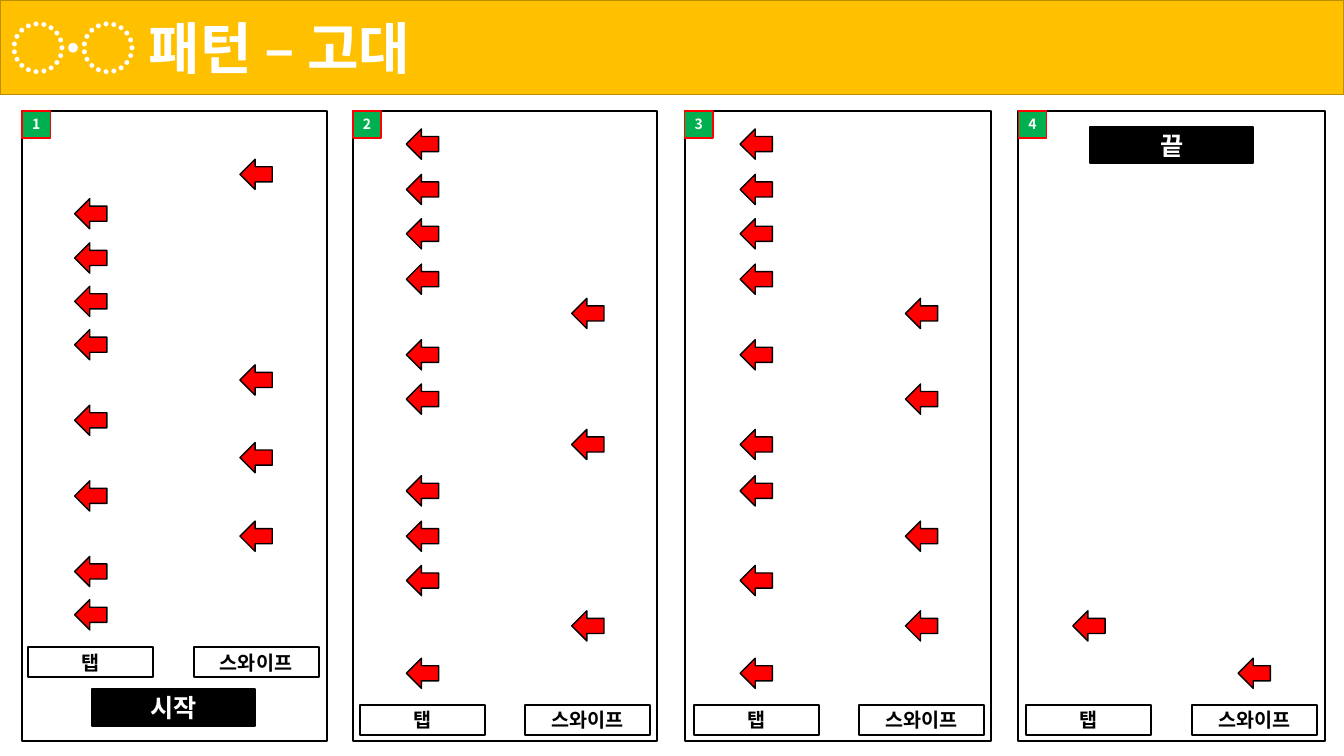
import pptx
import pptx.util
import pptx.dml.color
import pptx.enum.shapes
import pptx.enum.text
import pptx.oxml
import pptx.oxml.ns

Inches = pptx.util.Inches
Shapes = pptx.enum.shapes.MSO_SHAPE
Align = pptx.enum.text.PP_ALIGN
Anchor = pptx.enum.text.MSO_ANCHOR
AutoSize = pptx.enum.text.MSO_AUTO_SIZE

FONT = "Noto Sans CJK KR"
COLORS = {
    "white": "FFFFFF", "black": "000000", "red": "FF0000",
    "green": "00B050", "gold": "FFC000", "dark gold": "BD8E00",
}
PANEL_TOP, PANEL_HEIGHT = 1.1, 6.25
KEY_WIDTH, KEY_HEIGHT = 1.24, 0.3
LANE_GAP = 1.64
ARROW_WIDTH, ARROW_HEIGHT = 0.32, 0.3
BANNER_WIDTH, BANNER_HEIGHT = 1.62, 0.36

# Arrow tops, from the top of the panel down
START_BEATS = [1.58, 1.97, 2.41, 2.84, 3.27, 3.62, 4.02, 4.39, 4.77, 5.17, 5.52, 5.95]
BEATS = [1.28, 1.73, 2.17, 2.62, 2.96, 3.37, 3.81, 4.26, 4.72, 5.17, 5.61, 6.06, 6.53]

# In "lanes", T is a tap and S is a swipe, one letter for each beat
PANELS = [
    {"left": 0.22, "width": 3.02, "keys": (0.28, 6.42), "beats": START_BEATS,
     "lanes": "STTTTSTSTSTT", "banner": ("시작", 6.84)},
    {"left": 3.5, "width": 3.02, "keys": (3.57, 6.99), "beats": BEATS,
     "lanes": "TTTTSTTSTTTST"},
    {"left": 6.79, "width": 3.04, "keys": (6.88, 6.99), "beats": BEATS,
     "lanes": "TTTTSTSTTSTST"},
    {"left": 10.1, "width": 3.04, "keys": (10.18, 6.99), "beats": BEATS[-2:],
     "lanes": "TS", "banner": ("끝", 1.26)},
]


def rgb(name):
    return pptx.dml.color.RGBColor.from_string(COLORS[name])


def paint(shape, fill, line, weight):
    shape.fill.solid()
    shape.fill.fore_color.rgb = rgb(fill)
    shape.line.color.rgb = rgb(line)
    shape.line.width = pptx.util.Pt(weight)


def write(shape, text, size, color, align=Align.CENTER, anchor=Anchor.MIDDLE):
    frame = shape.text_frame
    frame.text = text
    frame.vertical_anchor = anchor
    para = frame.paragraphs[0]
    para.alignment = align
    span = para.runs[0]
    span.font.size = pptx.util.Pt(size)
    span.font.bold = True
    span.font.name = FONT
    span.font.color.rgb = rgb(color)
    # Korean text takes the East Asian typeface
    typeface = pptx.oxml.parse_xml(
        f'<a:ea {pptx.oxml.ns.nsdecls("a")} typeface="{FONT}"/>')
    span.font._element.append(typeface)


def add_box(page, box, fill, line="black", weight=1.5, kind=Shapes.RECTANGLE):
    shape = page.shapes.add_shape(kind, *(Inches(length) for length in box))
    shape.shadow.inherit = False
    paint(shape, fill, line, weight)
    return shape


def add_header(page, box, text):
    title = page.shapes.title
    title.left, title.top, title.width, title.height = (Inches(length) for length in box)
    paint(title, "gold", "dark gold", 1)
    write(title, text, 40, "white", Align.LEFT)
    title.text_frame.auto_size = AutoSize.NONE


def add_badge(page, left, top, number):
    badge = add_box(page, (left, top, 0.28, 0.27), "green", "red", 1)
    write(badge, str(number), 10, "white", Align.LEFT, Anchor.TOP)
    badge.text_frame.word_wrap = False
    badge.text_frame.auto_size = AutoSize.SHAPE_TO_FIT_TEXT


def add_panel(page, box, number, panel):
    left, top, width, height = box
    add_box(page, box, "white")
    add_badge(page, left, top, number)

    # Lane keys
    key_left, key_top = panel["keys"]
    lane_lefts = {"T": key_left, "S": key_left + LANE_GAP}
    for lane, label in (("T", "탭"), ("S", "스와이프")):
        key = add_box(page, (lane_lefts[lane], key_top, KEY_WIDTH, KEY_HEIGHT), "white")
        write(key, label, 14, "black")

    # Arrows, centred over their lane key
    for lane, beat in zip(panel["lanes"], panel["beats"]):
        arrow_left = lane_lefts[lane] + (KEY_WIDTH - ARROW_WIDTH) / 2
        add_box(page, (arrow_left, beat, ARROW_WIDTH, ARROW_HEIGHT),
                "red", weight=1, kind=Shapes.LEFT_ARROW)

    # Start or end banner, centred between the two lanes
    if "banner" in panel:
        text, banner_top = panel["banner"]
        banner_left = key_left + (LANE_GAP + KEY_WIDTH - BANNER_WIDTH) / 2
        banner = add_box(page, (banner_left, banner_top, BANNER_WIDTH, BANNER_HEIGHT), "black")
        write(banner, text, 18, "white")


def main():
    deck = pptx.Presentation()
    deck.slide_width, deck.slide_height = Inches(13.33), Inches(7.5)
    page = deck.slides.add_slide(deck.slide_layouts.get_by_name("Title Only"))
    add_header(page, (0, 0, 13.33, 0.94), "〮 패턴 – 고대")
    for number, panel in enumerate(PANELS, start=1):
        add_panel(page, (panel["left"], PANEL_TOP, panel["width"], PANEL_HEIGHT), number, panel)
    deck.save("out.pptx")


if __name__ == "__main__":
    main()
